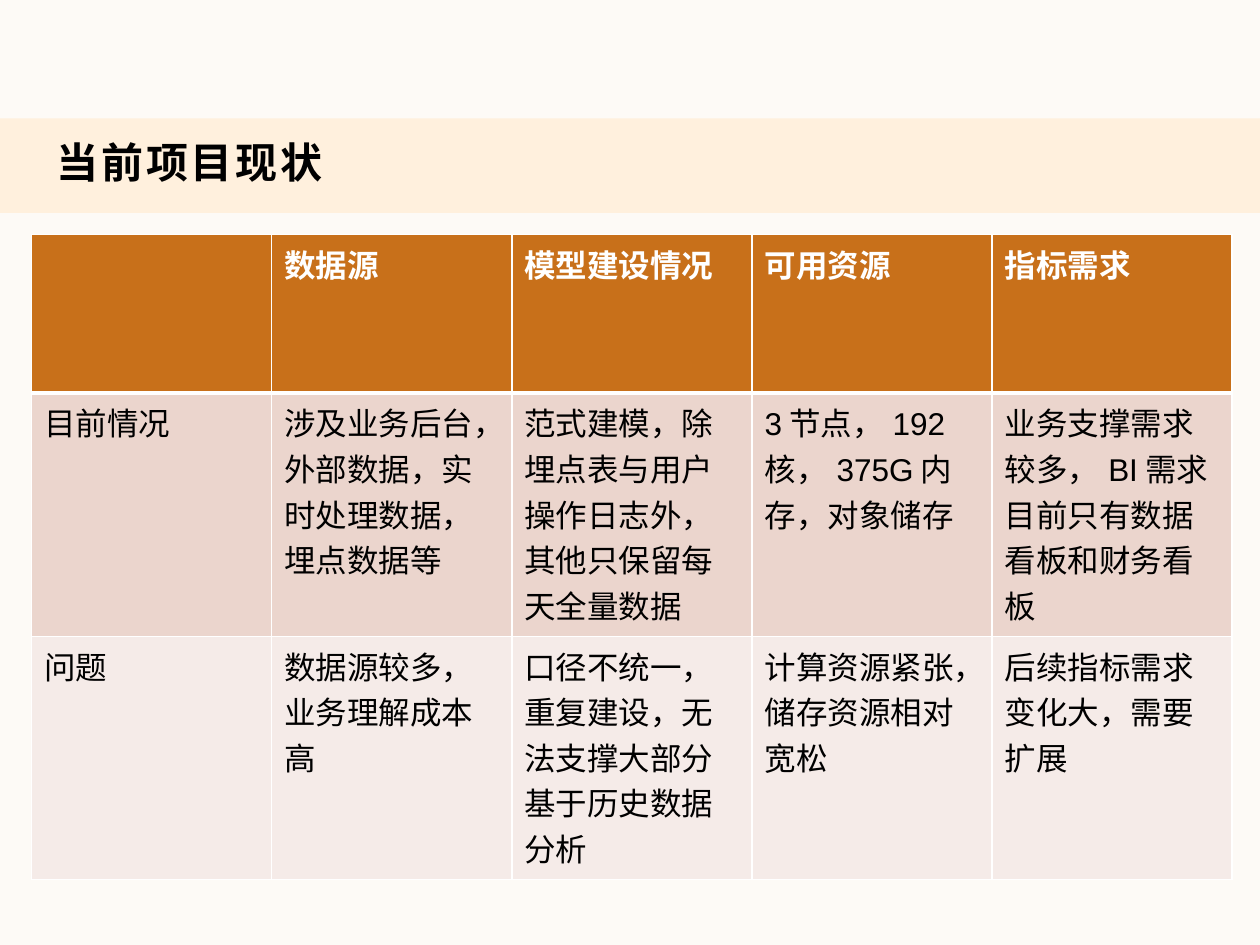
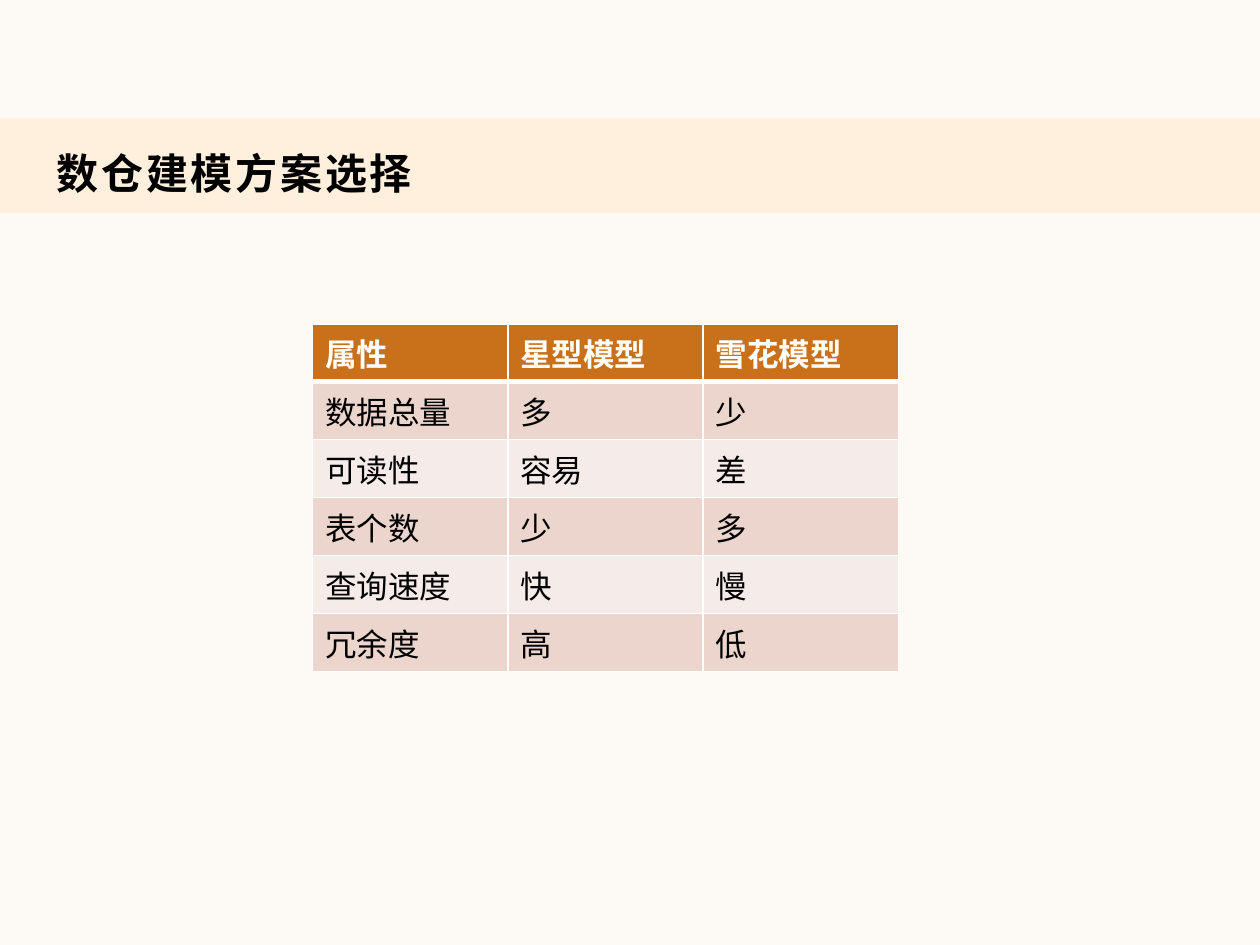
from lxml import etree
from pptx import Presentation
from pptx.dml.color import RGBColor
from pptx.enum.shapes import MSO_SHAPE
from pptx.enum.text import MSO_ANCHOR
from pptx.oxml.ns import qn
from pptx.util import Inches, Pt

RECT = MSO_SHAPE.RECTANGLE
MIDDLE = MSO_ANCHOR.MIDDLE

CREAM = RGBColor(0xFD, 0xFA, 0xF6)
PEACH = RGBColor(0xFF, 0xF0, 0xDD)
ORANGE = RGBColor(0xC8, 0x70, 0x1A)
ROSE = RGBColor(0xEB, 0xD5, 0xCD)
PALE_ROSE = RGBColor(0xF5, 0xEB, 0xE8)
WHITE = RGBColor(0xFF, 0xFF, 0xFF)
BLACK = RGBColor(0x00, 0x00, 0x00)

STATUS_ROWS = [
    ["", "数据源", "模型建设情况", "可用资源", "指标需求"],
    ["目前情况", "涉及业务后台，外部数据，实时处理数据，埋点数据等",
     "范式建模，除埋点表与用户操作日志外，其他只保留每天全量数据",
     "3节点，192核，375G内存，对象储存",
     "业务支撑需求较多，BI需求目前只有数据看板和财务看板"],
    ["问题", "数据源较多，业务理解成本高",
     "口径不统一，重复建设，无法支撑大部分基于历史数据分析",
     "计算资源紧张，储存资源相对宽松",
     "后续指标需求变化大，需要扩展"],
]
MODEL_ROWS = [
    ["属性", "星型模型", "雪花模型"],
    ["数据总量", "多", "少"],
    ["可读性", "容易", "差"],
    ["表个数", "少", "多"],
    ["查询速度", "快", "慢"],
    ["冗余度", "高", "低"],
]


class Deck:
    font = "Arial"
    title_size = Pt(24)
    table_size = Pt(18)

    def __init__(self):
        self.prs = Presentation()
        self.prs.slide_width = Inches(10)
        self.prs.slide_height = Inches(7.5)
        self.s = None

    def slide(self, title, title_top):
        self.s = self.prs.slides.add_slide(self.prs.slide_layouts[6])
        fill = self.s.background.fill
        fill.solid()
        fill.fore_color.rgb = CREAM
        self.band()
        self.title(title, title_top)

    def band(self):
        sp = self.s.shapes.add_shape(
            RECT, 0, Inches(0.94), self.prs.slide_width, Inches(0.75))
        sp.shadow.inherit = False
        sp.fill.solid()
        sp.fill.fore_color.rgb = PEACH
        sp.line.fill.background()

    def title(self, text, top):
        sp = self.s.shapes.add_textbox(
            Inches(0.38), Inches(top), Inches(9.25), Inches(0.5))
        tf = sp.text_frame
        tf.word_wrap = True
        tf.vertical_anchor = MIDDLE
        tf.margin_left = tf.margin_right = Inches(0.07)
        tf.margin_top = tf.margin_bottom = Inches(0.04)
        p = tf.paragraphs[0]
        p.text = text
        p.line_spacing = 0.9
        self.style(p, self.title_size, BLACK, True)
        for r in p.runs:
            r.font._element.set("spc", "160")

    def style(self, p, size, color, bold):
        for f in [p.font] + [r.font for r in p.runs]:
            f.name = self.font
            f.size = size
            f.bold = bold
            f.color.rgb = color

    def borders(self, cell, top, bottom):
        tc_pr = cell._tc.get_or_add_tcPr()
        for side, width in (("L", 1), ("R", 1), ("T", top), ("B", bottom)):
            ln = etree.SubElement(tc_pr, qn(f"a:ln{side}"), w=str(Pt(width)))
            fill = etree.SubElement(ln, qn("a:solidFill"))
            etree.SubElement(fill, qn("a:srgbClr"), val=str(WHITE))

    def table(self, rows, left, top, width, heights):
        table = self.s.shapes.add_table(
            len(rows), len(rows[0]), Inches(left), Inches(top),
            Inches(width), Inches(sum(heights))).table
        for i, (texts, height) in enumerate(zip(rows, heights)):
            table.rows[i].height = Inches(height)
            header = i == 0
            band = ORANGE if header else ROSE if i % 2 else PALE_ROSE
            for j, text in enumerate(texts):
                cell = table.cell(i, j)
                self.borders(cell, 3 if i == 1 else 1, 3 if header else 1)
                cell.fill.solid()
                cell.fill.fore_color.rgb = band
                p = cell.text_frame.paragraphs[0]
                p.text = text
                self.style(p, self.table_size, WHITE if header else BLACK, header)


def main():
    deck = Deck()
    deck.slide("当前项目现状", 1.06)
    deck.table(STATUS_ROWS, 0.25, 1.86, 9.53, [1.26, 1.93, 1.93])
    deck.slide("数仓建模方案选择", 1.15)
    deck.table(MODEL_ROWS, 2.48, 2.57, 4.65, [0.46] * len(MODEL_ROWS))
    deck.prs.save("out.pptx")


if __name__ == "__main__":
    main()
